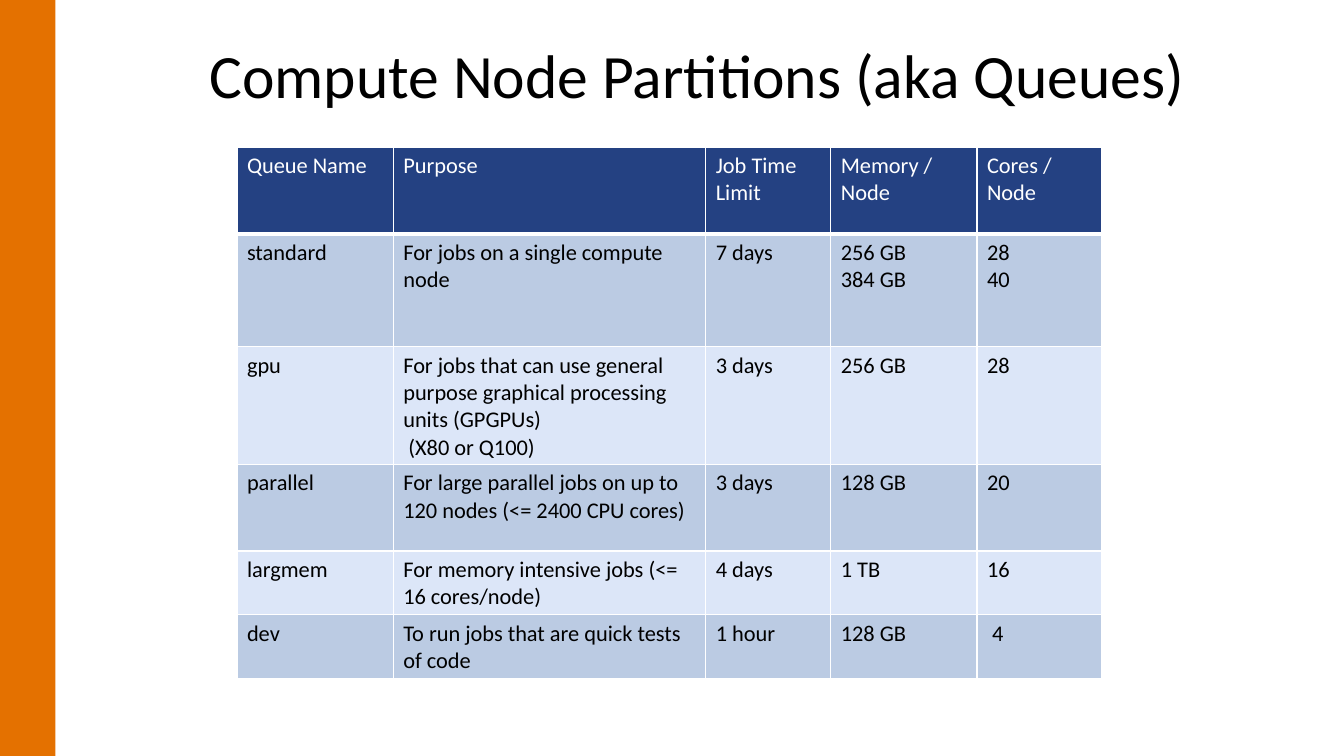
from typing import NamedTuple

from lxml import etree
from pptx import Presentation
from pptx.dml.color import RGBColor
from pptx.enum.shapes import MSO_SHAPE
from pptx.enum.text import MSO_ANCHOR
from pptx.oxml.ns import qn
from pptx.util import Emu, Pt

RECT = MSO_SHAPE.RECTANGLE
TOP = MSO_ANCHOR.TOP
SCALE = 9144  # EMU per px, 100 px to the inch
FONT = "Calibri"
ORANGE, NAVY = "E47100", "244182"
DARK, LIGHT = "BBCBE3", "DCE6F8"
BLACK, WHITE = "000000", "FFFFFF"


class Queue(NamedTuple):
    name: str
    purpose: str
    limit: str
    memory: str
    cores: str
    height: int


HEAD = Queue("Queue Name", "Purpose", "Job Time Limit",
             "Memory / Node", "Cores / Node", 86)
QUEUES = [
    Queue("standard", "For jobs on a single compute node",
          "7 days", "256 GB\n384 GB", "28\n40", 112),
    Queue("gpu", "For jobs that can use general purpose graphical processing "
          "units (GPGPUs)\n (X80 or Q100)", "3 days", "256 GB", "28", 112),
    Queue("parallel", "For large parallel jobs on up to 120 nodes "
          "(<= 2400 CPU cores)", "3 days", "128 GB", "20", 86),
    Queue("largmem", "For memory intensive jobs (<= 16 cores/node)",
          "4 days", "1 TB", "16", 61),
    Queue("dev", "To run jobs that are quick tests of code",
          "1 hour", "128 GB", " 4", 61),
]
WIDTHS = [155, 310, 124, 145, 124]


def px(size: int) -> Emu:
    return Emu(size * SCALE)


def rgb(code: str) -> RGBColor:
    return RGBColor.from_string(code)


def write(frame, text: str, size: int, color: str) -> None:
    """Put each line of the text in its own paragraph."""
    for i, line in enumerate(text.split("\n")):
        para = frame.add_paragraph() if i else frame.paragraphs[0]
        run = para.add_run()
        run.text = line
        run.font.name = FONT
        run.font.size = Pt(size)
        run.font.bold = False
        run.font.color.rgb = rgb(color)


def border(cell, side: str, width: int) -> None:
    props = cell._tc.get_or_add_tcPr()
    line = etree.SubElement(props, qn(f"a:ln{side}"), w=str(Pt(width)))
    fill = etree.SubElement(line, qn("a:solidFill"))
    etree.SubElement(fill, qn("a:srgbClr"), val=WHITE)


def draw_bar(slide) -> None:
    bar = slide.shapes.add_shape(RECT, 0, 0, px(55), px(750))
    bar.shadow.inherit = False
    bar.fill.solid()
    bar.fill.fore_color.rgb = rgb(ORANGE)
    bar.line.fill.background()


def draw_title(slide, text: str) -> None:
    box = slide.shapes.add_textbox(px(198), px(40), px(1050), px(145))
    frame = box.text_frame
    frame.word_wrap = True
    frame.vertical_anchor = TOP
    write(frame, text, 44, BLACK)
    frame.paragraphs[0].line_spacing = 0.9


def draw_table(slide) -> None:
    rows = [HEAD, *QUEUES]
    high = sum(row.height for row in rows)
    grid = slide.shapes.add_table(len(rows), len(WIDTHS), px(235), px(146),
                                  px(sum(WIDTHS)), px(high)).table
    for col, width in zip(grid.columns, WIDTHS):
        col.width = px(width)
    for i, row in enumerate(rows):
        grid.rows[i].height = px(row.height)
        shade = DARK if i % 2 else LIGHT
        for j, text in enumerate(row[:-1]):
            cell = grid.cell(i, j)
            for side in "LRTB":
                border(cell, side, 3 if i == 0 and side == "B" else 1)
            cell.fill.solid()
            cell.fill.fore_color.rgb = rgb(shade if i else NAVY)
            write(cell.text_frame, text, 16, BLACK if i else WHITE)


def main() -> None:
    deck = Presentation()
    deck.slide_width, deck.slide_height = px(1333), px(750)
    slide = deck.slides.add_slide(deck.slide_layouts[6])
    draw_bar(slide)
    draw_title(slide, "Compute Node Partitions (aka Queues)")
    draw_table(slide)
    deck.save("out.pptx")


if __name__ == "__main__":
    main()
